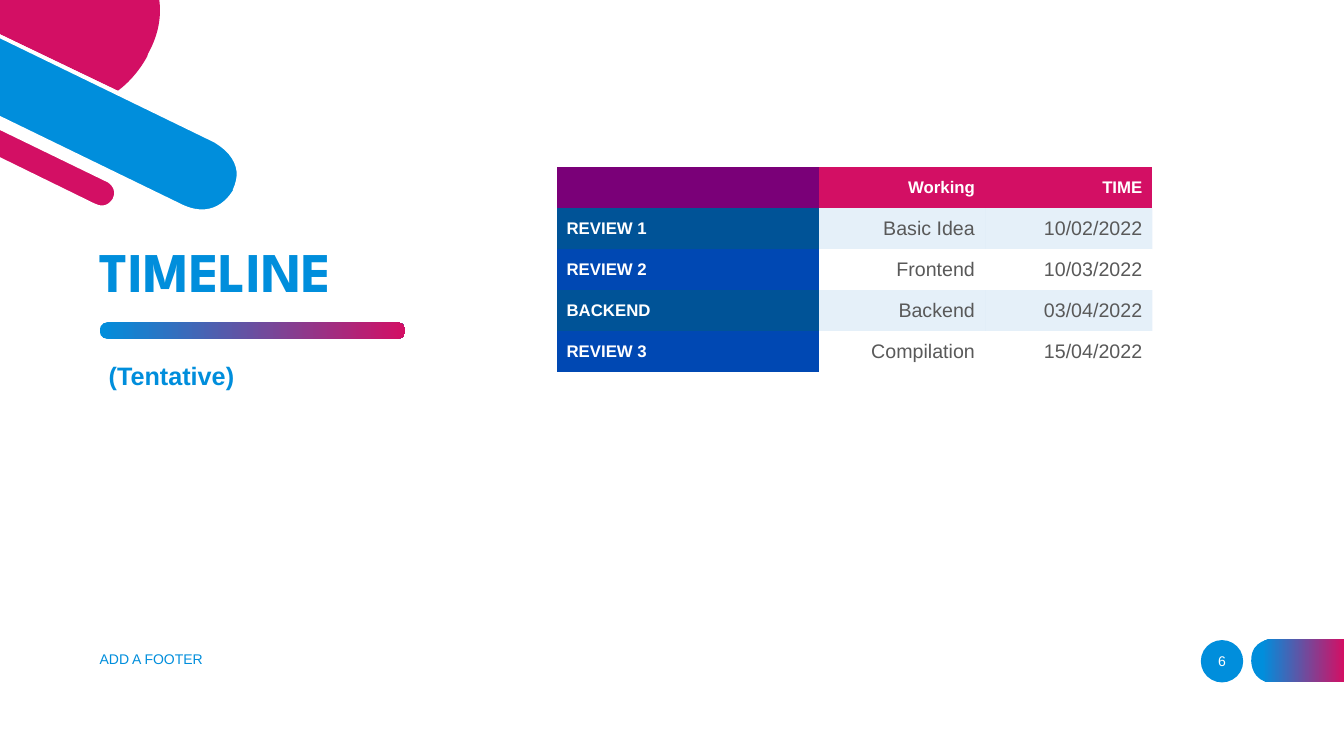
from lxml import etree
from pptx import Presentation
from pptx.dml.color import RGBColor
from pptx.enum.shapes import MSO_SHAPE
from pptx.enum.text import MSO_ANCHOR, PP_ALIGN
from pptx.oxml.ns import qn
from pptx.util import Inches, Pt

OVAL, ROUNDED = MSO_SHAPE.OVAL, MSO_SHAPE.ROUNDED_RECTANGLE
TOP, MIDDLE, BOTTOM = MSO_ANCHOR.TOP, MSO_ANCHOR.MIDDLE, MSO_ANCHOR.BOTTOM
LEFT, CENTER, RIGHT = PP_ALIGN.LEFT, PP_ALIGN.CENTER, PP_ALIGN.RIGHT
NO_GRID_STYLE = "{2D5ABB26-0587-4C30-8999-92F81FD0307C}"

COLORS = {
    "blue": "008EDC", "pink": "D30F64", "white": "FFFFFF", "purple": "7A0078",
    "navy": "005397", "royal": "0048B3", "tint": "006FC9", "grey": "595959",
}

# Outlines in inches: two numbers are a line, six are a cubic curve
CORNER_SHAPES = [
    ("white", [(0.01, 0.81), (0.28, 0.94), (0.6, 1.1, 0.89, 1.08, 1.15, 0.89),
               (1.34, 0.74, 1.44, 0.55, 1.44, 0.55), (1.46, 0.52),
               (1.55, 0.34, 1.58, 0.16, 1.56, 0), (1.6, 0),
               (1.62, 0.17, 1.59, 0.35, 1.49, 0.54), (1.48, 0.57),
               (1.47, 0.58, 1.37, 0.77, 1.17, 0.92),
               (1.06, 1.01, 0.9, 1.09, 0.69, 1.09),
               (0.56, 1.09, 0.42, 1.06, 0.26, 0.98), (0.01, 0.86)]),
    ("blue", [(2.12, 1.39), (2.12, 1.39, 2.49, 1.57, 2.33, 1.89), (2.32, 1.9),
              (2.32, 1.9, 2.16, 2.22, 1.8, 2.04), (0, 1.17), (0, 0.36)]),
    ("pink", [(1.46, 0.56), (1.46, 0.56, 1.36, 0.76, 1.17, 0.9), (0, 0.34),
              (0, 0), (1.58, 0), (1.6, 0.15, 1.58, 0.33, 1.47, 0.53)]),
    ("pink", [(0, 1.26), (1.06, 1.78), (1.06, 1.78, 1.2, 1.85, 1.14, 1.97),
              (1.14, 1.98), (1.14, 1.98, 1.07, 2.11, 0.93, 2.04), (0, 1.58)]),
    ("white", [(0.94, 2.02), (1.06, 2.08, 1.11, 1.98, 1.12, 1.97),
               (1.17, 1.86, 1.06, 1.8, 1.05, 1.8), (0, 1.29), (0, 1.24),
               (1.07, 1.76), (1.07, 1.76, 1.15, 1.8, 1.17, 1.87),
               (1.18, 1.91, 1.18, 1.95, 1.16, 1.99),
               (1.14, 2.03, 1.09, 2.08, 1.01, 2.08),
               (0.99, 2.08, 0.96, 2.08, 0.93, 2.06), (0, 1.61), (0, 1.56)]),
    ("white", [(1.81, 2.03), (2.15, 2.19, 2.3, 1.9, 2.31, 1.89), (2.31, 1.88),
               (2.37, 1.75, 2.36, 1.64, 2.27, 1.53),
               (2.21, 1.46, 2.12, 1.41, 2.12, 1.41), (0, 0.38), (0, 0.34),
               (2.14, 1.37), (2.14, 1.38, 2.32, 1.46, 2.37, 1.63),
               (2.4, 1.71, 2.39, 1.8, 2.35, 1.9), (2.34, 1.91),
               (2.34, 1.91, 2.23, 2.12, 2.01, 2.12),
               (1.94, 2.12, 1.87, 2.1, 1.79, 2.06), (0, 1.19), (0, 1.15)]),
]
PAGE_TAB = [(13.33, 6.77), (13.33, 6.34), (12.62, 6.34),
            (12.62, 6.34, 12.41, 6.34, 12.41, 6.55), (12.41, 6.56),
            (12.41, 6.56, 12.41, 6.77, 12.62, 6.77)]

ROWS = [
    ("", "Working", "TIME"),
    ("REVIEW 1", "Basic Idea", "10/02/2022"),
    ("REVIEW 2", "Frontend", "10/03/2022"),
    ("BACKEND", "Backend", "03/04/2022"),
    ("REVIEW 3", "Compilation", "15/04/2022"),
]


def rgb(name):
    return RGBColor.from_string(COLORS[name])


def set_solid(fill, color):
    fill.solid()
    fill.fore_color.rgb = rgb(color)


def set_gradient(fill, start=0):
    fill.gradient()
    fill.gradient_angle = 0
    for stop, color, position in zip(fill.gradient_stops, ("blue", "pink"), (start, 1)):
        stop.color.rgb = rgb(color)
        stop.position = position


def clean(shape):
    shape.shadow.inherit = False
    shape.line.fill.background()
    return shape


def add_outline(s, segments):
    points = [(Inches(seg[-2]), Inches(seg[-1])) for seg in segments]
    builder = s.shapes.build_freeform(*points[0])
    builder.add_line_segments(points[1:], close=False)
    shape = clean(builder.convert_to_shape())
    # Turn the straight steps of curved segments into cubic curves
    steps = list(shape._element.iter(qn("a:lnTo")))
    for step, seg in zip(steps, segments[1:]):
        if len(seg) == 6:
            step.tag = qn("a:cubicBezTo")
            for i in (0, 2):
                pt = etree.Element(qn("a:pt"), x=str(Inches(seg[i]) - shape.left),
                                   y=str(Inches(seg[i + 1]) - shape.top))
                step.insert(i // 2, pt)
    etree.SubElement(steps[0].getparent(), qn("a:close"))
    return shape


def write(p, text, size, color, bold=False, align=LEFT, font="Arial"):
    p.alignment = align
    r = p.add_run()
    r.text = text
    for name, value in {"name": font, "size": Pt(size), "bold": bold}.items():
        setattr(r.font, name, value)
    set_solid(r.font.fill, color)
    return r


def add_text(s, box, text, size, color, anchor=MIDDLE, spacing=1.0, **style):
    tf = s.shapes.add_textbox(*map(Inches, box)).text_frame
    for name, value in {"word_wrap": True, "vertical_anchor": anchor}.items():
        setattr(tf, name, value)
    p = tf.paragraphs[0]
    p.line_spacing = spacing
    return write(p, text, size, color, **style)


def cell_fill(row, col):
    if row == 0:
        return "pink" if col else "purple"
    if col == 0:
        return "navy" if row % 2 else "royal"
    return "tint" if row % 2 else "white"


def add_timeline(s):
    frame = s.shapes.add_table(len(ROWS), 3, Inches(5.52), Inches(1.66),
                               Inches(5.91), Inches(2.03))
    table = frame.table
    next(table._tbl.iter(qn("a:tableStyleId"))).text = NO_GRID_STYLE
    for column, width in zip(table.columns, (2.6, 1.65, 1.66)):
        column.width = Inches(width)
    for i, values in enumerate(ROWS):
        table.rows[i].height = Inches(2.03 / len(ROWS))
        for j, text in enumerate(values):
            cell = table.cell(i, j)
            cell.vertical_anchor = MIDDLE
            color = cell_fill(i, j)
            set_solid(cell.fill, color)
            if color == "tint":
                # Ten percent opacity
                clr = next(cell._tc.iter(qn("a:srgbClr")))
                etree.SubElement(clr, qn("a:alpha"), val="10000")
            if text:
                heading = i == 0 or j == 0
                write(cell.text_frame.paragraphs[0], text, 12 if heading else 14,
                      "white" if heading else "grey", heading, RIGHT if j else LEFT)


def main():
    prs = Presentation()
    prs.slide_width, prs.slide_height = Inches(13.33), Inches(7.5)
    s = prs.slides.add_slide(prs.slide_layouts[6])

    # Page number badge and tab
    badge = clean(s.shapes.add_shape(OVAL, *map(Inches, (11.91, 6.35, 0.42, 0.42))))
    set_solid(badge.fill, "blue")
    set_gradient(add_outline(s, PAGE_TAB).fill, 0.12)

    # Corner decoration
    for color, segments in CORNER_SHAPES:
        set_solid(add_outline(s, segments).fill, color)

    # Title, bar and subtitle
    bar = clean(s.shapes.add_shape(ROUNDED, *map(Inches, (0.99, 3.2, 3.03, 0.16))))
    bar.adjustments[0] = 0.45
    set_gradient(bar.fill)
    title = add_text(s, (0.89, 2.33, 3.72, 0.74), "TIMELINE", 40, "blue", BOTTOM, 0.9,
                     bold=True, font="League Spartan")
    set_gradient(title.font.fill)
    add_text(s, (0.91, 3.56, 3.09, 2.02), " (Tentative)", 18, "blue", TOP, 0.9, bold=True)

    add_timeline(s)

    # Footer
    add_text(s, (0.89, 6.34, 4.5, 0.4), "ADD A FOOTER", 10, "blue")
    add_text(s, (11.82, 6.36, 0.6, 0.4), "6", 10, "white", align=CENTER)
    prs.save("out.pptx")


if __name__ == "__main__":
    main()
